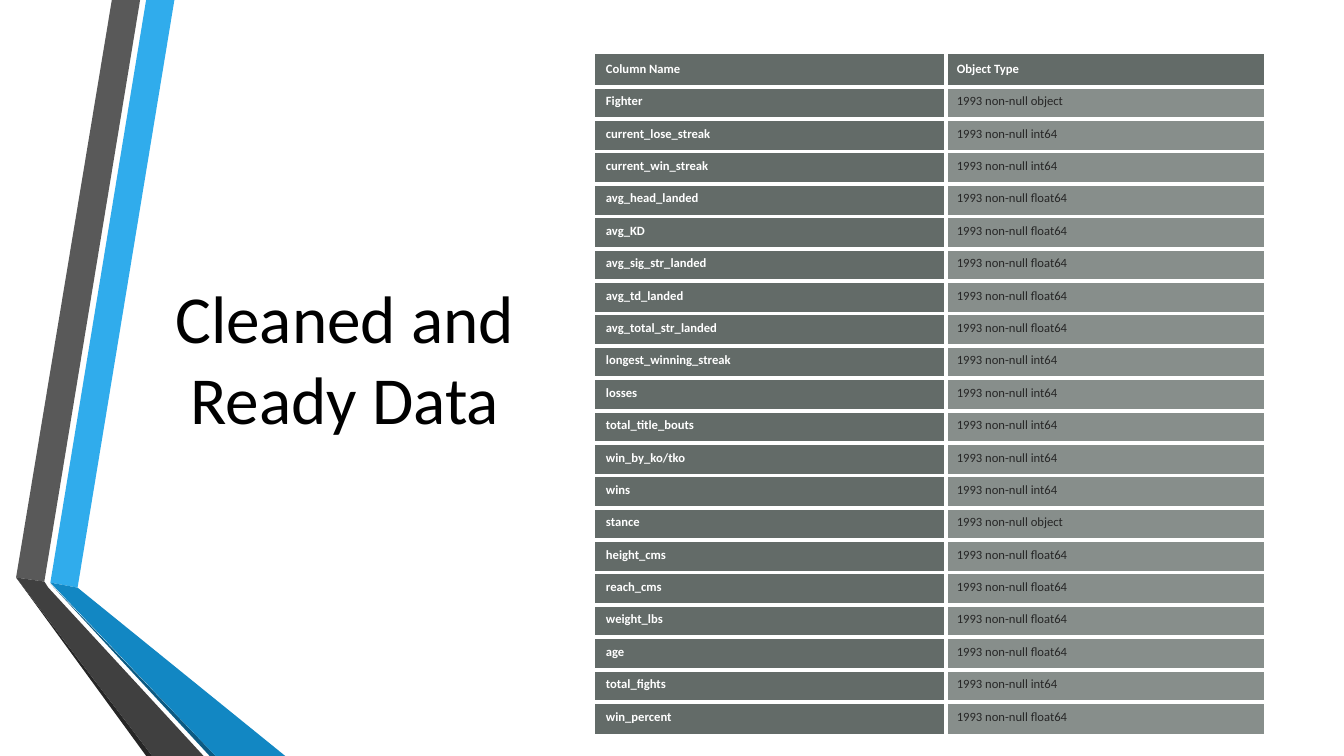
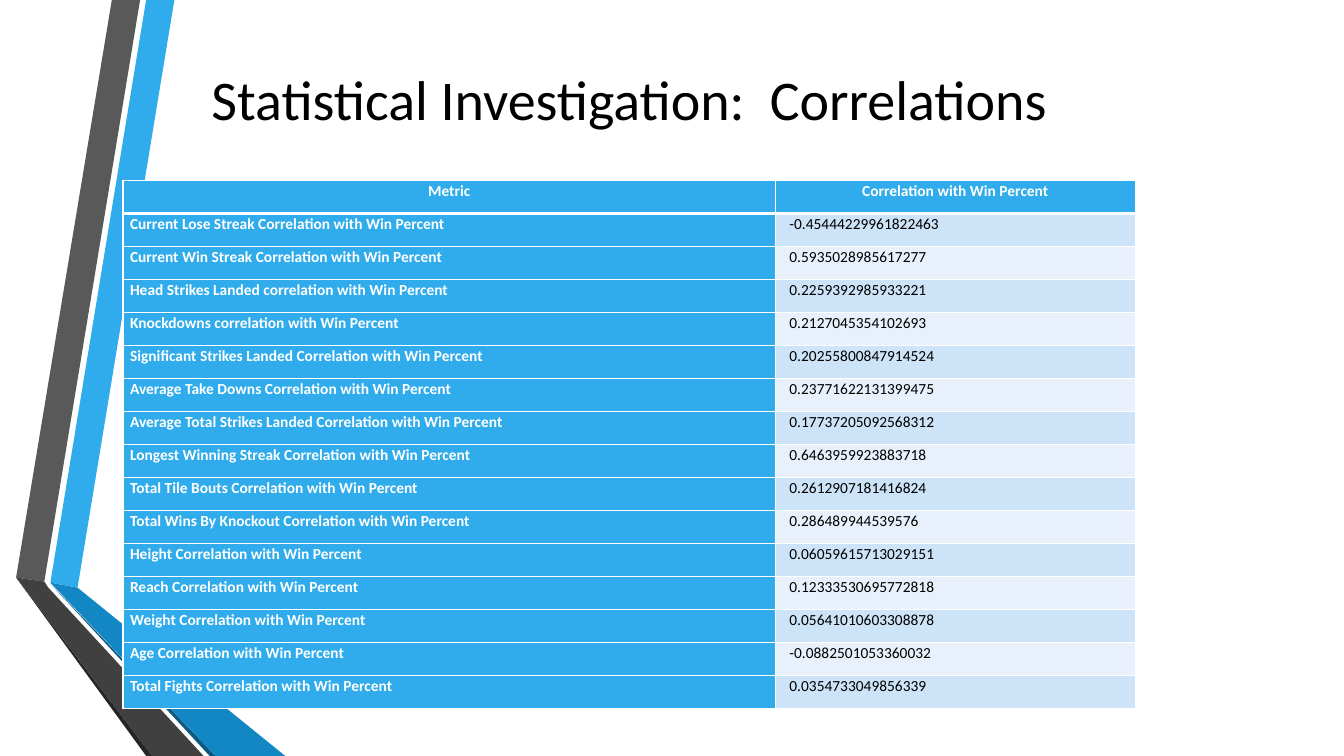
"""Build two table slides that share an angled ribbon and a title style."""
import dataclasses

import pptx
import pptx.dml.color
import pptx.enum.text
import pptx.oxml
import pptx.oxml.ns
import pptx.util

Inches = pptx.util.Inches
Pt = pptx.util.Pt
ALIGN = pptx.enum.text.PP_ALIGN
ANCHOR = pptx.enum.text.MSO_ANCHOR


@dataclasses.dataclass(frozen=True)
class Theme:
    """Colours, font and type sizes of the deck."""
    font: str = "Calibri"
    black: str = "000000"
    white: str = "FFFFFF"
    ink: str = "262626"
    blue: str = "30ACEC"
    blue_dark: str = "1287C3"
    blue_shade: str = "0C5A82"
    gray: str = "595959"
    gray_dark: str = "404040"
    gray_shade: str = "262626"
    slate: str = "636B68"
    slate_light: str = "878E8B"
    sky: str = "CDE3F8"
    sky_light: str = "E8F1FB"
    side_title: int = 48
    top_title: int = 40
    schema_text: int = 9
    metric_text: int = 11


T = Theme()

RIBBON = [
    (T.blue, [(0.5, 5.78), (0.77, 5.83), (1.73, 0), (1.45, 0)]),
    (T.gray, [(1.39, 0), (1.11, 0), (0.16, 5.73), (0.44, 5.77)]),
    (T.gray_shade, [(0.16, 5.73), (1.45, 7.5), (1.51, 7.5)]),
    (T.blue_shade, [(0.5, 5.79), (2.08, 7.5), (2.14, 7.5)]),
    (T.blue_dark, [(0.5, 5.78), (2.14, 7.5), (2.83, 7.5), (0.77, 5.83)]),
    (T.gray_dark, [(2.02, 7.5), (0.48, 5.83), (0.44, 5.77), (0.16, 5.73), (1.51, 7.5)]),
]

SCHEMA = [
    ("Fighter", "object"),
    ("current_lose_streak", "int64"),
    ("current_win_streak", "int64"),
    ("avg_head_landed", "float64"),
    ("avg_KD", "float64"),
    ("avg_sig_str_landed", "float64"),
    ("avg_td_landed", "float64"),
    ("avg_total_str_landed", "float64"),
    ("longest_winning_streak", "int64"),
    ("losses", "int64"),
    ("total_title_bouts", "int64"),
    ("win_by_ko/tko", "int64"),
    ("wins", "int64"),
    ("stance", "object"),
    ("height_cms", "float64"),
    ("reach_cms", "float64"),
    ("weight_lbs", "float64"),
    ("age", "float64"),
    ("total_fights", "int64"),
    ("win_percent", "float64"),
]

METRICS = [
    ("Current Lose Streak Correlation", "-0.45444229961822463"),
    ("Current Win Streak Correlation", "0.5935028985617277"),
    ("Head Strikes Landed correlation", "0.2259392985933221"),
    ("Knockdowns correlation", "0.2127045354102693"),
    ("Significant Strikes Landed Correlation", "0.20255800847914524"),
    ("Average Take Downs Correlation", "0.23771622131399475"),
    ("Average Total Strikes Landed Correlation", "0.17737205092568312"),
    ("Longest Winning Streak Correlation", "0.6463959923883718"),
    ("Total Tile Bouts Correlation", "0.2612907181416824"),
    ("Total Wins By Knockout Correlation", "0.286489944539576"),
    ("Height Correlation", "0.06059615713029151"),
    ("Reach Correlation", "0.12333530695772818"),
    ("Weight Correlation", "0.05641010603308878"),
    ("Age Correlation", "-0.0882501053360032"),
    ("Total Fights Correlation", "0.0354733049856339"),
]


def rgb(color):
    """Turn a hex string into a colour."""
    return pptx.dml.color.RGBColor.from_string(color)


def paint(fill, color, alpha=100):
    """Fill with a solid colour at a percentage of opacity."""
    fill.solid()
    fill.fore_color.rgb = rgb(color)
    if alpha < 100:
        clr = fill._xPr.find(".//" + pptx.oxml.ns.qn("a:srgbClr"))
        clr.append(pptx.oxml.parse_xml(
            f'<a:alpha {pptx.oxml.ns.nsdecls("a")} val="{alpha * 1000}"/>'))


def style(p, size, color, bold=False, align=ALIGN.LEFT):
    """Set the font and alignment of a paragraph."""
    p.alignment = align
    p.font.name = T.font
    p.font.size = Pt(size)
    p.font.bold = bold
    p.font.color.rgb = rgb(color)


def borders(cell, **widths):
    """Draw white cell borders; a width of zero means no line."""
    tcPr = cell._tc.get_or_add_tcPr()
    for side in "LRTB":
        width = widths[side]
        line = f'<a:solidFill><a:srgbClr val="{T.white}"/></a:solidFill>' if width else "<a:noFill/>"
        tcPr.append(pptx.oxml.parse_xml(
            f'<a:ln{side} {pptx.oxml.ns.nsdecls("a")} w="{Pt(width)}">{line}</a:ln{side}>'))


def add_ribbon(slide, left, top):
    """Draw the folded ribbon from the given corner."""
    group = slide.shapes.add_group_shape()
    for color, points in RIBBON:
        pts = [(Inches(left + x), Inches(top + y)) for x, y in points]
        builder = group.shapes.build_freeform(*pts[0], scale=1.0)
        builder.add_line_segments(pts[1:], close=True)
        sp = builder.convert_to_shape()
        sp.shadow.inherit = False
        sp.line.fill.background()
        paint(sp.fill, color)


def add_title(slide, text, size, box):
    """Place a centred title in the box."""
    tf = slide.shapes.add_textbox(*map(Inches, box)).text_frame
    tf.word_wrap = True
    tf.vertical_anchor = ANCHOR.MIDDLE
    p = tf.paragraphs[0]
    p.text = text
    style(p, size, T.black, align=ALIGN.CENTER)


def add_grid(slide, rows, box, widths, format_cell):
    """Add a two-column table and format each cell by its row and column."""
    table = slide.shapes.add_table(len(rows), len(widths), *map(Inches, box)).table
    table.first_row = table.horz_banding = False
    for column, width in zip(table.columns, widths):
        column.width = Inches(width)
    for i, row in enumerate(rows):
        for j, text in enumerate(row):
            cell = table.cell(i, j)
            p = cell.text_frame.paragraphs[0]
            p.text = text
            format_cell(cell, p, i, j)


def add_schema_table(slide, box):
    """Place the table of column names and types."""
    rows = [("Column Name", "Object Type")]
    rows += [(name, f"1993 non-null {kind}") for name, kind in SCHEMA]

    def format_cell(cell, p, i, j):
        """Set the slate look of one cell."""
        head = i == 0 or j == 0
        cell.margin_left = Inches(0.11)
        cell.margin_right = cell.margin_top = cell.margin_bottom = Inches(0.07)
        borders(cell, L=3 * (j > 0), R=3 * (j == 0), T=3 * (i > 0), B=3 * (i < len(rows) - 1))
        if head:
            paint(cell.fill, T.slate, 70)
        else:
            paint(cell.fill, T.slate_light, 15 if i % 2 or i == len(rows) - 1 else 30)
        style(p, T.schema_text, T.white if head else T.ink, head)

    add_grid(slide, rows, box, (3.48, 3.16), format_cell)


def add_metric_table(slide, box):
    """Place the table of correlations."""
    rows = [("Metric", "Correlation with Win Percent")]
    rows += [(f"{name} with Win Percent", value) for name, value in METRICS]

    def format_cell(cell, p, i, j):
        """Set the blue look of one cell."""
        head = i == 0 or j == 0
        cell.margin_left = Inches(0.07 if head else 0.14)
        cell.margin_right = Inches(0.07)
        cell.margin_top = cell.margin_bottom = 0
        borders(cell, L=1, R=1, T=3 if i == 1 else 1, B=3 if i == 0 else 1)
        paint(cell.fill, T.blue if head else T.sky if i % 2 else T.sky_light)
        style(p, T.metric_text, T.white if head else T.black, head,
              ALIGN.LEFT if i else ALIGN.CENTER)
        p.line_spacing = 1.07

    add_grid(slide, rows, box, (6.47, 3.57), format_cell)


def new_slide(prs):
    """Add a blank slide with the ribbon."""
    s = prs.slides.add_slide(prs.slide_layouts[6])
    add_ribbon(s, 0, 0)
    return s


def main():
    """Build and save the deck."""
    prs = pptx.Presentation()
    prs.slide_width, prs.slide_height = Inches(13.33), Inches(7.5)

    s = new_slide(prs)
    add_title(s, "Cleaned and Ready Data", T.side_title, (1.52, 0.83, 3.8, 5.43))
    add_schema_table(s, (5.9, 0.54, 6.64, 6.75))

    s = new_slide(prs)
    add_title(s, "Statistical Investigation:  Correlations", T.top_title, (0.49, 0.25, 11.5, 1.45))
    add_metric_table(s, (1.22, 1.79, 10.04, 5.24))

    prs.save("out.pptx")


if __name__ == "__main__":
    main()
